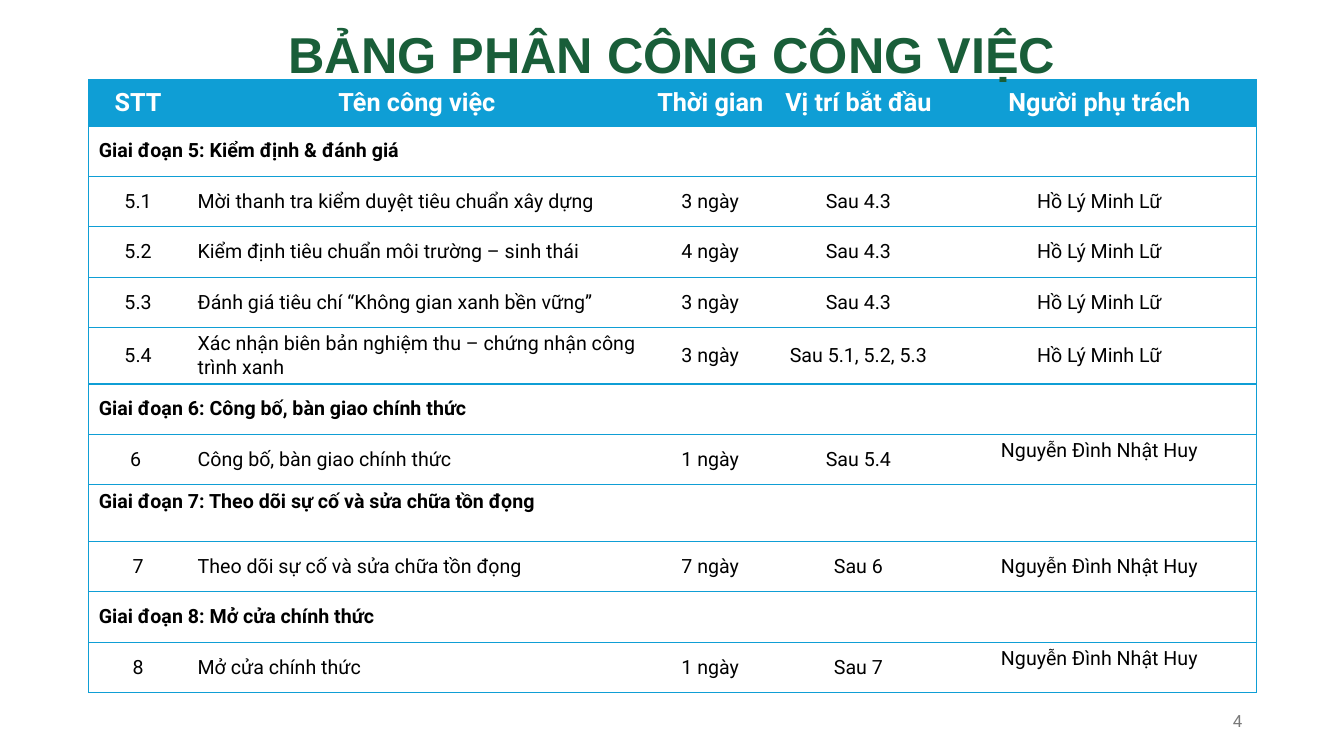
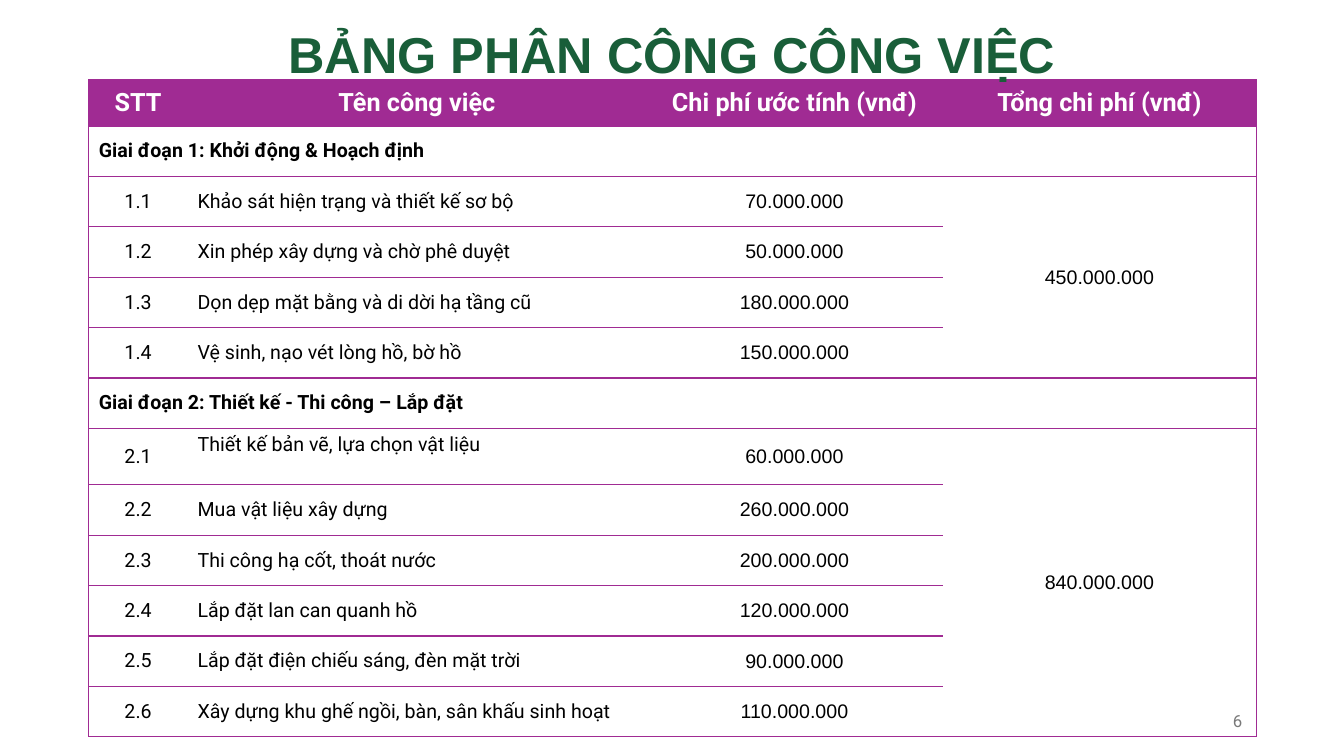
from dataclasses import dataclass
from typing import Optional

from lxml import etree
from pptx import Presentation
from pptx import util as u
from pptx.dml.color import RGBColor
from pptx.enum import text
from pptx.oxml.ns import qn

# Shared look
COLORS = {
    "title": "195E39",
    "schedule": "0F9ED5",
    "budget": "A02B93",
    "header": "FFFFFF",
    "body": "000000",
    "number": "797979",
}
SANS, HEAVY = "Roboto", "Arial"
LEFT, CENTER, RIGHT = text.PP_ALIGN.LEFT, text.PP_ALIGN.CENTER, text.PP_ALIGN.RIGHT
TOP, MIDDLE = text.MSO_ANCHOR.TOP, text.MSO_ANCHOR.MIDDLE
WIDTH, HEIGHT = 13.33, 7.5
TABLE_LEFT, TABLE_TOP = 0.88, 0.79
HEADER_ROW, ROW, TALL_ROW = 0.46, 0.5, 0.56
TIME_WIDTH, START_WIDTH = 1.27, 1.67
PLAIN_STYLE = "{2D5ABB26-0587-4C30-8999-92F81FD0307C}"
TITLE = "BẢNG PHÂN CÔNG CÔNG VIỆC"


@dataclass
class Column:
    label: str
    width: float
    align: text.PP_ALIGN = CENTER
    font: str = SANS


@dataclass
class Task:
    values: tuple[str, ...]
    height: float = ROW
    top_column: Optional[int] = None


@dataclass
class Phase:
    name: str
    tasks: list[Task]
    total: str = ""
    height: float = ROW
    anchor: text.MSO_ANCHOR = MIDDLE


@dataclass
class Plan:
    number: str
    color: str
    columns: list[Column]
    phases: list[Phase]


# Content
CODE = Column("STT", 0.98)
NAME = Column("Tên công việc", 4.55, LEFT)
INSPECTOR, KEEPER = "Hồ Lý Minh Lữ", "Nguyễn Đình Nhật Huy"

PLANS = [
    Plan(
        "4",
        "schedule",
        [CODE, NAME, Column("Thời gian", TIME_WIDTH),
         Column("Vị trí bắt đầu", START_WIDTH), Column("Người phụ trách", 3.11)],
        [
            Phase("Giai đoạn 5: Kiểm định & đánh giá", [
                Task(("5.1", "Mời thanh tra kiểm duyệt tiêu chuẩn xây dựng",
                      "3 ngày", "Sau 4.3", INSPECTOR)),
                Task(("5.2", "Kiểm định tiêu chuẩn môi trường – sinh thái",
                      "4 ngày", "Sau 4.3", INSPECTOR)),
                Task(("5.3", "Đánh giá tiêu chí “Không gian xanh bền vững”",
                      "3 ngày", "Sau 4.3", INSPECTOR)),
                Task(("5.4", "Xác nhận biên bản nghiệm thu – chứng nhận công trình xanh",
                      "3 ngày", "Sau 5.1, 5.2, 5.3", INSPECTOR), TALL_ROW),
            ]),
            Phase("Giai đoạn 6: Công bố, bàn giao chính thức", [
                Task(("6 ", "Công bố, bàn giao chính thức", "1 ngày", "Sau 5.4", KEEPER),
                     top_column=4),
            ]),
            Phase("Giai đoạn 7: Theo dõi sự cố và sửa chữa tồn đọng", [
                Task(("7", "Theo dõi sự cố và sửa chữa tồn đọng", "7 ngày", "Sau 6", KEEPER)),
            ], height=TALL_ROW, anchor=TOP),
            Phase("Giai đoạn 8: Mở cửa chính thức", [
                Task(("8", "Mở cửa chính thức", "1 ngày", "Sau 7", KEEPER), top_column=4),
            ]),
        ],
    ),
    Plan(
        "6",
        "budget",
        [CODE, NAME,
         Column("Chi phí ước tính (vnđ)", TIME_WIDTH + START_WIDTH, font=HEAVY),
         Column("Tổng chi phí (vnđ)", 3.11, font=HEAVY)],
        [
            Phase("Giai đoạn 1: Khởi động & Hoạch định", [
                Task(("1.1", "Khảo sát hiện trạng và thiết kế sơ bộ", "70.000.000")),
                Task(("1.2", "Xin phép xây dựng và chờ phê duyệt", "50.000.000")),
                Task(("1.3", "Dọn dẹp mặt bằng và di dời hạ tầng cũ", "180.000.000")),
                Task(("1.4", "Vệ sinh, nạo vét lòng hồ, bờ hồ", "150.000.000")),
            ], total="450.000.000"),
            Phase("Giai đoạn 2: Thiết kế - Thi công – Lắp đặt", [
                Task(("2.1", "Thiết kế bản vẽ, lựa chọn vật liệu", "60.000.000"),
                     TALL_ROW, top_column=1),
                Task(("2.2", "Mua vật liệu xây dựng", "260.000.000")),
                Task(("2.3", "Thi công hạ cốt, thoát nước", "200.000.000")),
                Task(("2.4", "Lắp đặt lan can quanh hồ", "120.000.000")),
                Task(("2.5", "Lắp đặt điện chiếu sáng, đèn mặt trời", "90.000.000")),
                Task(("2.6", "Xây dựng khu ghế ngồi, bàn, sân khấu sinh hoạt", "110.000.000")),
            ], total="840.000.000"),
        ],
    ),
]


def write(box, words: str, *, size: float = 14, font: str = SANS, color: str = "body",
          bold: bool = False, align: text.PP_ALIGN = CENTER,
          anchor: text.MSO_ANCHOR = MIDDLE, spacing: Optional[float] = None) -> None:
    """Put one formatted paragraph in a shape or a table cell."""
    para = box.text_frame.paragraphs[0]
    para.alignment = align
    if spacing:
        para.line_spacing = u.Pt(spacing)
    span = para.add_run()
    span.text = words
    span.font.size, span.font.name, span.font.bold = u.Pt(size), font, bold
    span.font.color.rgb = RGBColor.from_string(COLORS[color])
    holder = box if hasattr(box, "vertical_anchor") else box.text_frame
    holder.vertical_anchor = anchor


def draw_borders(table, color: str) -> None:
    """Rule every row and the outside edges, leaving merged areas open."""
    last_row, last_column = len(table.rows) - 1, len(table.columns) - 1
    for row in range(last_row + 1):
        for column in range(last_column + 1):
            cell = table.cell(row, column)
            inside = cell._tc.vMerge
            edges = {
                "lnL": column == 0,
                "lnR": column + cell.span_width > last_column,
                "lnT": not inside,
                "lnB": not inside or row == last_row,
            }
            properties = cell._tc.get_or_add_tcPr()
            for edge in (name for name, drawn in edges.items() if drawn):
                line = etree.SubElement(properties, qn(f"a:{edge}"), w=str(u.Pt(1)))
                fill = etree.SubElement(line, qn("a:solidFill"))
                etree.SubElement(fill, qn("a:srgbClr"), val=COLORS[color])
            if row == 0:
                cell.fill.solid()
                cell.fill.fore_color.rgb = RGBColor.from_string(COLORS[color])
            else:
                cell.fill.background()


def draw_table(page, plan: Plan) -> None:
    heights = [HEADER_ROW]
    for phase in plan.phases:
        heights += [phase.height, *(task.height for task in phase.tasks)]
    widths = [column.width for column in plan.columns]
    table = page.shapes.add_table(
        len(heights), len(widths), u.Inches(TABLE_LEFT), u.Inches(TABLE_TOP),
        u.Inches(sum(widths)), u.Inches(sum(heights))).table
    table._tbl.tblPr.find(qn("a:tableStyleId")).text = PLAIN_STYLE
    table.horz_banding = False
    for track, height in zip(table.rows, heights):
        track.height = u.Inches(height)
    for track, width in zip(table.columns, widths):
        track.width = u.Inches(width)

    # Header row
    for index, column in enumerate(plan.columns):
        write(table.cell(0, index), column.label, size=18, color="header", bold=True)

    # Phase rows, each followed by its tasks
    last, row = len(widths) - 1, 1
    for phase in plan.phases:
        table.cell(row, 0).merge(table.cell(row, last))
        write(table.cell(row, 0), phase.name, bold=True, align=LEFT, anchor=phase.anchor)
        if phase.total:
            table.cell(row + 1, last).merge(table.cell(row + len(phase.tasks), last))
            write(table.cell(row + 1, last), phase.total, font=plan.columns[last].font)
        for row, task in enumerate(phase.tasks, row + 1):
            for index, (value, column) in enumerate(zip(task.values, plan.columns)):
                write(table.cell(row, index), value, font=column.font, align=column.align,
                      anchor=TOP if index == task.top_column else MIDDLE)
        row += 1
    draw_borders(table, plan.color)


def draw_title(page) -> None:
    """Place the title in front of the table, which it slightly overlaps."""
    title = page.shapes.title
    title.left, title.top = u.Inches(0), u.Inches(-0.05)
    title.width, title.height = u.Inches(WIDTH), u.Inches(0.85)
    title.text_frame.auto_size = text.MSO_AUTO_SIZE.NONE
    title.text_frame.word_wrap = True
    write(title, TITLE, size=36, font=HEAVY, color="title", bold=True,
          anchor=TOP, spacing=59.8)
    title.element.getparent().append(title.element)


def draw_number(page, number: str) -> None:
    box = page.shapes.add_textbox(
        u.Inches(9.42), u.Inches(6.95), u.Inches(3), u.Inches(0.4))
    box.text_frame.word_wrap = True
    write(box, number, size=12, color="number", align=RIGHT)


def main() -> None:
    deck = Presentation()
    deck.slide_width, deck.slide_height = u.Inches(WIDTH), u.Inches(HEIGHT)
    for plan in PLANS:
        page = deck.slides.add_slide(deck.slide_layouts[5])
        draw_table(page, plan)
        draw_title(page)
        draw_number(page, plan.number)
    deck.save("out.pptx")


if __name__ == "__main__":
    main()
